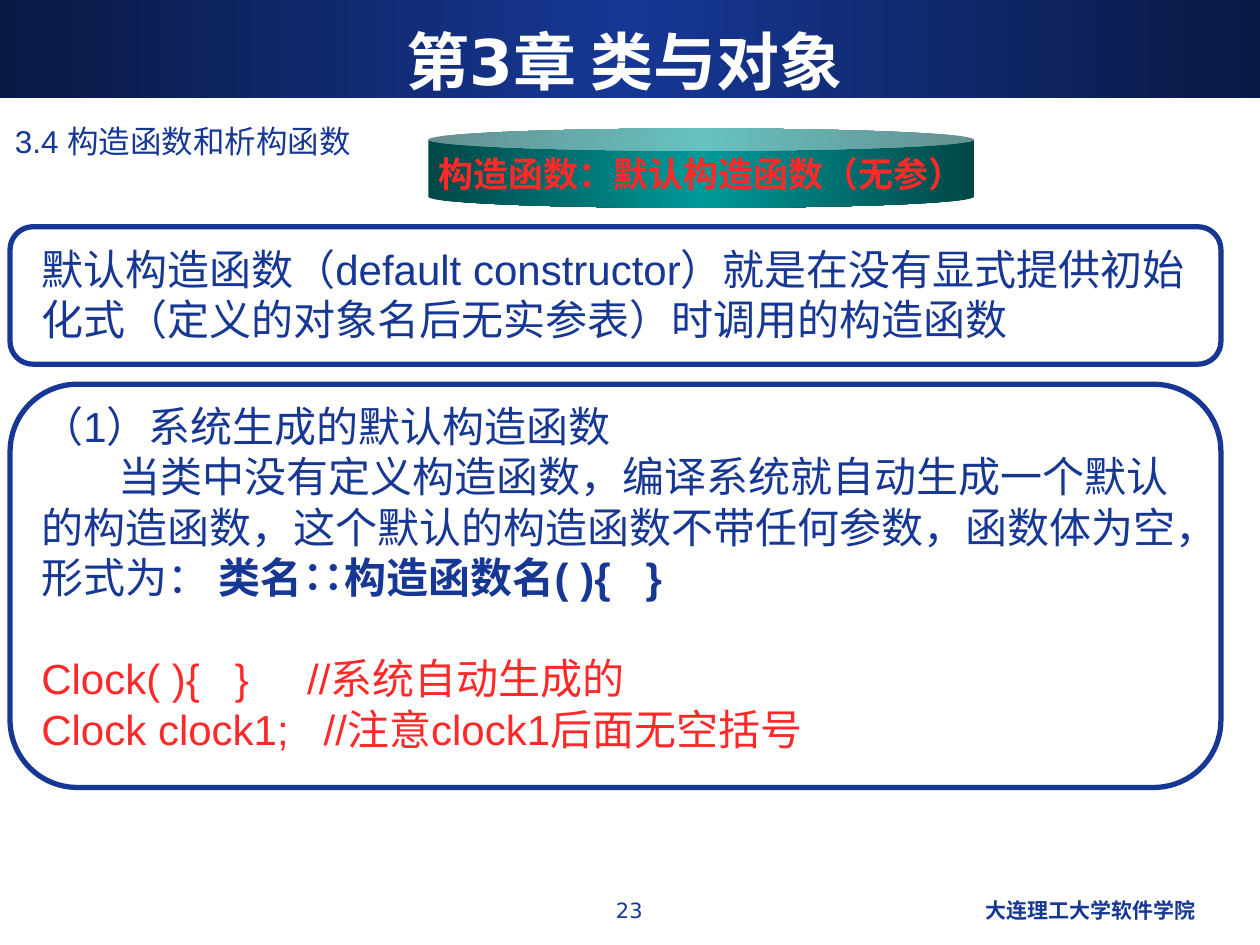
from copy import deepcopy

from pptx import Presentation
from pptx.dml.color import RGBColor
from pptx.enum.shapes import MSO_SHAPE
from pptx.enum.text import MSO_ANCHOR, PP_ALIGN
from pptx.util import Inches, Pt

NAVY, DARK_NAVY = "163794", "0A1944"
TEAL, DARK_TEAL = "009999", "004747"
RED, WHITE = "FF2929", "FFFFFF"


def rgb(value):
    return RGBColor.from_string(value)


def style_runs(p, size, color, font="Arial", bold=False):
    for r in p.runs:
        r.font.size = Pt(size)
        r.font.name = font
        r.font.bold = bold
        r.font.color.rgb = rgb(color)


def add_text(s, box, text, size, color=NAVY, font="Arial", bold=False,
             align=PP_ALIGN.LEFT, anchor=MSO_ANCHOR.TOP):
    """Add a wrapped text box with one paragraph per line of text."""
    tf = s.shapes.add_textbox(*map(Inches, box)).text_frame
    tf.word_wrap = True
    tf.vertical_anchor = anchor
    tf.text = text
    for p in tf.paragraphs:
        p.alignment = align
        style_runs(p, size, color, font, bold)
    return tf


def add_gradient(s, kind, box, edge, middle):
    """Add a shape shaded from its edges to a lighter middle."""
    sp = s.shapes.add_shape(kind, *map(Inches, box))
    sp.shadow.inherit = False
    sp.line.fill.background()
    sp.fill.gradient()
    sp.fill.gradient_angle = 0
    last = sp.fill.gradient_stops[1]
    first_xml = sp.fill._fill._gradFill.gsLst[0]
    first_xml.addnext(deepcopy(first_xml))
    stops = sp.fill.gradient_stops
    for stop, position, color in zip(stops, (0, 0.5, 1), (edge, middle, edge)):
        stop.position = position
        stop.color.rgb = rgb(color)
    return sp


def add_frame(s, top, height):
    """Add an unfilled rounded frame."""
    sp = s.shapes.add_shape(MSO_SHAPE.ROUNDED_RECTANGLE, Inches(0.08),
                            Inches(top), Inches(9.61), Inches(height))
    sp.shadow.inherit = False
    sp.fill.background()
    sp.line.color.rgb = rgb(NAVY)
    sp.line.width = Pt(3)


def add_heading_can(s, text):
    sp = add_gradient(s, MSO_SHAPE.CAN, (3.4, 1.02, 4.33, 0.63), DARK_TEAL, TEAL)
    sp.adjustments[0] = 0.28
    tf = sp.text_frame
    tf.word_wrap = False
    tf.vertical_anchor = MSO_ANCHOR.MIDDLE
    tf.text = text
    p = tf.paragraphs[0]
    p.alignment = PP_ALIGN.CENTER
    style_runs(p, 20, RED, bold=True)


def add_explanation(s):
    lines = [
        "（1）系统生成的默认构造函数",
        "当类中没有定义构造函数，编译系统就自动生成一个默认的构造函数，"
        "这个默认的构造函数不带任何参数，函数体为空，形式为： ",
        "Clock( ){   }     //系统自动生成的",
        "Clock clock1;   //注意clock1后面无空括号",
    ]
    tf = add_text(s, (0.23, 3.13, 9.3, 3.3), "\n".join(lines), 24)
    _, body, *code = tf.paragraphs

    # Indented body that ends in the bold general form
    body._p.get_or_add_pPr().set("indent", str(Inches(0.61)))
    r = body.add_run()
    r.text = "类名∷构造函数名( ){   }"
    style_runs(body, 24, NAVY)
    r.font.bold = True

    # Code example, one line below the body
    code[0].space_before = Pt(29)
    for p in code:
        style_runs(p, 24, RED)


def main():
    prs = Presentation()
    prs.slide_width, prs.slide_height = Inches(10), Inches(7.5)
    s = prs.slides.add_slide(prs.slide_layouts[6])

    # Title band
    add_gradient(s, MSO_SHAPE.RECTANGLE, (0, 0, 10, 0.78), DARK_NAVY, NAVY)
    add_text(s, (0.33, 0.17, 9.25, 0.62), "第3章 类与对象", 36, WHITE,
             "DejaVu Sans", True, PP_ALIGN.CENTER, MSO_ANCHOR.MIDDLE)

    # Footer
    add_text(s, (3.83, 7.07, 2.33, 0.35), "23", 12, font="DejaVu Sans",
             align=PP_ALIGN.CENTER)
    add_text(s, (6.42, 7.07, 3.17, 0.35), "大连理工大学软件学院", 12,
             font="DejaVu Sans", bold=True, align=PP_ALIGN.RIGHT)

    # Section and topic
    add_text(s, (0.02, 0.92, 9.25, 0.41), "3.4 构造函数和析构函数", 18)
    add_heading_can(s, "构造函数：默认构造函数（无参）")

    # Definition
    add_frame(s, 1.8, 1.09)
    add_text(s, (0.23, 1.88, 9.3, 0.9),
             "默认构造函数（default constructor）就是在没有显式提供初始化式"
             "（定义的对象名后无实参表）时调用的构造函数", 24)

    # Explanation with code
    add_frame(s, 3.05, 3.2)
    add_explanation(s)

    prs.save("out.pptx")


if __name__ == "__main__":
    main()
